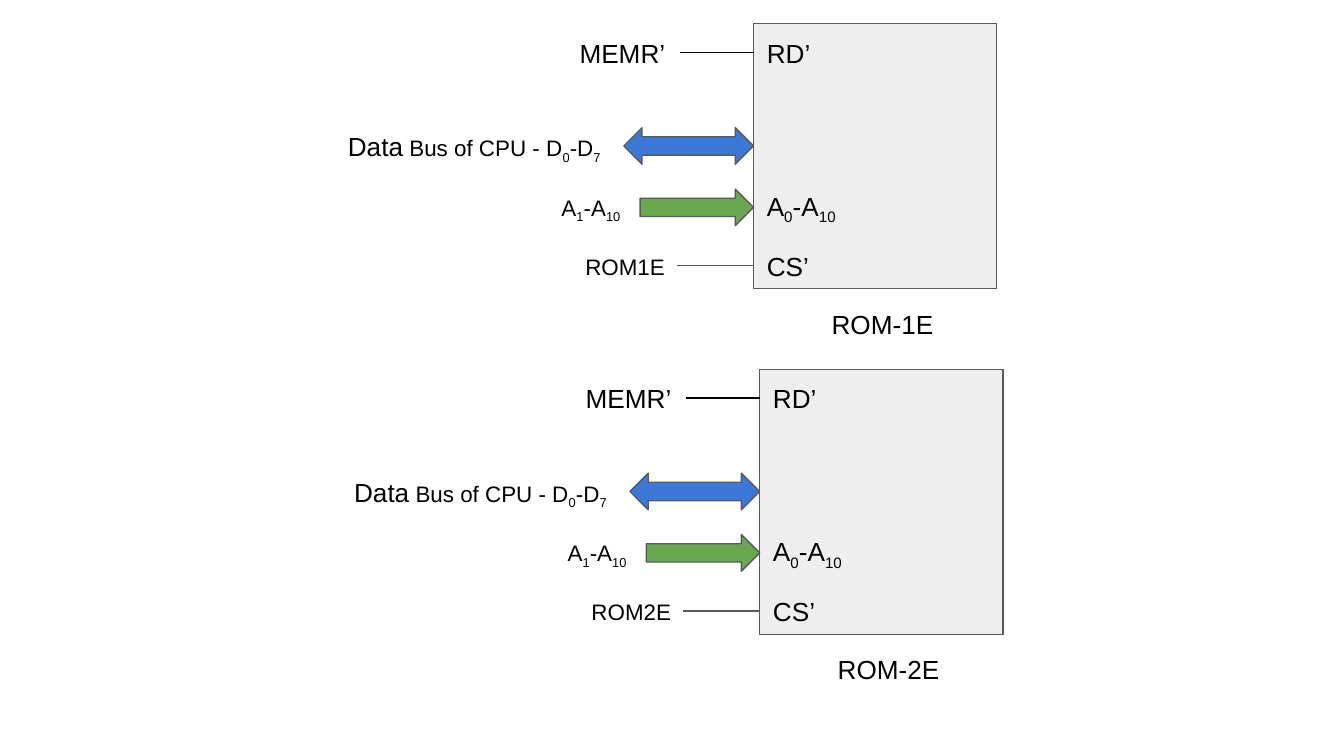
"""Build a slide showing the bus wiring of two ROM chips."""
import pptx
import pptx.dml.color
import pptx.enum.shapes
import pptx.enum.text
import pptx.oxml.ns
import pptx.util
from lxml import etree

Pt = pptx.util.Pt
Form = pptx.enum.shapes.MSO_SHAPE
theme = {
    "font": "Arial", "big": 14, "small": 12,
    "ink": "000000", "edge": "595959", "chip": "EEEEEE",
    "data": "3C78D8", "addr": "6AA84F",
}


def tint(name):
    return pptx.dml.color.RGBColor.from_string(theme[name])


def write(text, left, top, width, height=31, size="big", lead=""):
    """Add a label; pieces between bars alternate normal and subscript."""
    box = slide.shapes.add_textbox(Pt(left), Pt(top), Pt(width), Pt(height))
    frame = box.text_frame
    frame.word_wrap = True
    frame.auto_size = pptx.enum.text.MSO_AUTO_SIZE.SHAPE_TO_FIT_TEXT
    frame.margin_left = frame.margin_right = Pt(7.2)
    frame.margin_top = frame.margin_bottom = Pt(7.2)
    parts = [(lead, "big", False)] if lead else []
    parts += [(part, size, i % 2 == 1) for i, part in enumerate(text.split("|"))]
    for part, scale, sub in parts:
        run = frame.paragraphs[0].add_run()
        run.text = part
        run.font.name = theme["font"]
        run.font.size = Pt(theme[scale])
        run.font.color.rgb = tint("ink")
        if sub:
            run.font._element.set("baseline", "-25000")
    return box


deck = pptx.Presentation()
deck.slide_width, deck.slide_height = Pt(720), Pt(405)
slide = deck.slides.add_slide(deck.slide_layouts[6])

for num, x, y in [(1, 403.7, 12.7), (2, 407, 197.8)]:
    for form, fill, left, top, width, height in [
        (Form.RECTANGLE, "chip", 0, 0, 130.3, 142),
        (Form.LEFT_RIGHT_ARROW, "data", -69.5, 55.7, 69.5, 19.6),
        (Form.RIGHT_ARROW, "addr", -60.8, 88.6, 60.8, 19.6),
    ]:
        shape = slide.shapes.add_shape(
            form, Pt(x + left), Pt(y + top), Pt(width), Pt(height))
        shape.shadow.inherit = False
        shape.fill.solid()
        shape.fill.fore_color.rgb = tint(fill)
        shape.line.color.rgb = tint("edge")
        shape.line.width = Pt(0.75)

    read = write("RD’", x, y, 44)
    write("A|0|-A|10", x, y + 82, 66)
    pick = write("CS’", x, y + 114, 44)
    write(" Bus of CPU - D|0|-D|7", x - 224.4, y + 50, 155, size="small", lead="Data")
    write("A|1|-A|10", x - 110, y + 84, 49, 29, size="small")
    mem = write("MEMR’", x - 100.3, y, 61)
    write(f"ROM{num}E", x - 97.2, y + 115.5, 60.5, 29, size="small")
    write(f"ROM-{num}E", x + 34.7, y + 145.2, 75)

    for pin, end, reach, mid, color in [
        (read, mem, 39.3, 15.5, "ink"),
        (pick, None, 41, 129.5, "edge"),
    ]:
        wire = slide.shapes.add_connector(
            pptx.enum.shapes.MSO_CONNECTOR.STRAIGHT,
            Pt(x), Pt(y + mid), Pt(x - reach), Pt(y + mid))
        wire.begin_connect(pin, 1)
        if end:
            wire.end_connect(end, 3)
        wire.line.color.rgb = tint(color)
        wire.line.width = Pt(0.75)
        etree.SubElement(wire._element.spPr, pptx.oxml.ns.qn("a:effectLst"))

deck.save("out.pptx")
